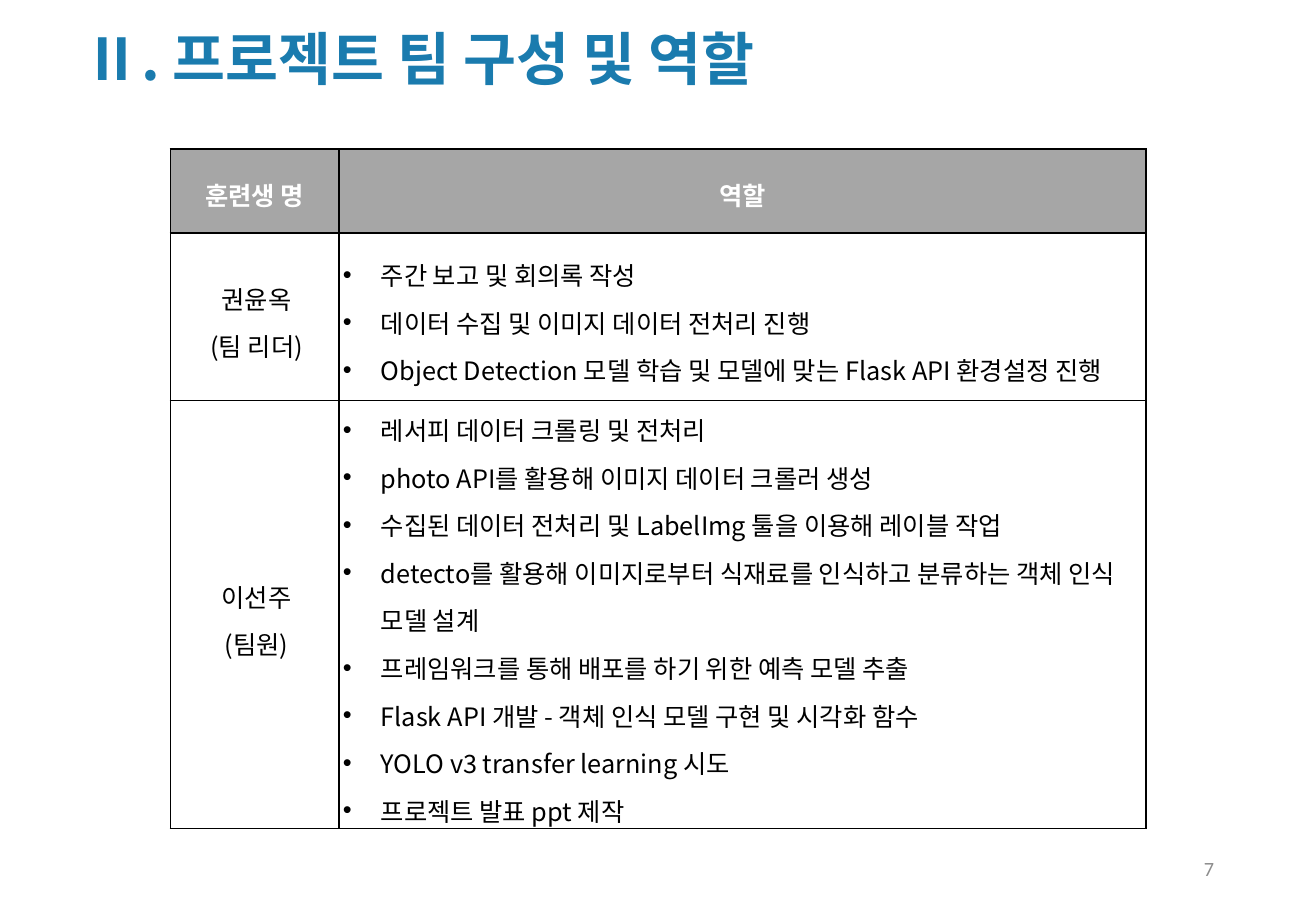
from lxml.etree import SubElement
from pptx import Presentation
from pptx.dml.color import RGBColor
from pptx.enum.text import MSO_ANCHOR, MSO_AUTO_SIZE, PP_ALIGN
from pptx.oxml.ns import qn
from pptx.util import Cm, Pt

BLUE = RGBColor(0x1A, 0x7B, 0xAE)
HEADER_GRAY = RGBColor(0xA6, 0xA6, 0xA6)
NUMBER_GRAY = RGBColor(0x8C, 0x8C, 0x8C)
BLACK = RGBColor(0, 0, 0)
WHITE = RGBColor(0xFF, 0xFF, 0xFF)

KOREAN_FONT = "Noto Sans CJK KR"
BULLET_INDENT = Cm(0.79)
COLUMN_WIDTHS = (Cm(3.53), Cm(16.87))
ROW_HEIGHTS = (Cm(1.75), Cm(3.5), Cm(3.3))

HEADINGS = ("훈련생 명", "역할")
MEMBERS = (
    (("권윤옥", "(팀 리더)"), (
        "주간 보고 및 회의록 작성",
        "데이터 수집 및 이미지 데이터 전처리 진행",
        "Object Detection 모델 학습 및 모델에 맞는 Flask API 환경설정 진행",
    )),
    (("이선주", "(팀원)"), (
        "레서피 데이터 크롤링 및 전처리",
        "photo API를 활용해 이미지 데이터 크롤러 생성",
        "수집된 데이터 전처리 및 LabelImg 툴을 이용해 레이블 작업",
        "detecto를 활용해 이미지로부터 식재료를 인식하고 분류하는 객체 인식 모델 설계",
        "프레임워크를 통해 배포를 하기 위한 예측 모델 추출",
        "Flask API 개발 - 객체 인식 모델 구현 및 시각화 함수",
        "YOLO v3 transfer learning 시도",
        "프로젝트 발표 ppt 제작",
    )),
)


def style_run(run, size, color, bold=False, font=KOREAN_FONT):
    """Style a run, with the Korean font for its East Asian letters."""
    run.font.size = Pt(size)
    run.font.bold = bold
    run.font.color.rgb = color
    run.font.name = font
    SubElement(run.font._element, qn("a:ea"), typeface=KOREAN_FONT)


def add_bullet(paragraph):
    properties = paragraph._p.get_or_add_pPr()
    properties.set("marL", str(BULLET_INDENT))
    properties.set("indent", str(-BULLET_INDENT))
    SubElement(properties, qn("a:buFont"), typeface="Arial")
    SubElement(properties, qn("a:buChar"), char="•")


def add_borders(cell):
    properties = cell._tc.get_or_add_tcPr()
    for side in ("lnL", "lnR", "lnT", "lnB"):
        line = SubElement(properties, qn(f"a:{side}"), w=str(Pt(1)))
        fill = SubElement(line, qn("a:solidFill"))
        SubElement(fill, qn("a:srgbClr"), val=str(BLACK))


def fill_cell(cell, lines, header=False, bulleted=False):
    cell.vertical_anchor = MSO_ANCHOR.MIDDLE
    cell.margin_left = 0 if header else Cm(0.08)
    cell.margin_top = cell.margin_right = cell.margin_bottom = 0
    add_borders(cell)
    if header:
        cell.fill.solid()
        cell.fill.fore_color.rgb = HEADER_GRAY
    else:
        cell.fill.background()

    cell.text_frame.text = "\n".join(lines)
    for paragraph in cell.text_frame.paragraphs:
        paragraph.line_spacing = 1.2 if header else 1.3
        if bulleted:
            add_bullet(paragraph)
        else:
            paragraph.alignment = PP_ALIGN.CENTER
        style_run(paragraph.runs[0], 15, WHITE if header else BLACK, bold=header)


def add_role_table(slide):
    table = slide.shapes.add_table(
        len(ROW_HEIGHTS), len(COLUMN_WIDTHS), Cm(3.56), Cm(3.12),
        sum(COLUMN_WIDTHS), sum(ROW_HEIGHTS)).table
    table.horz_banding = False
    for column, width in zip(table.columns, COLUMN_WIDTHS):
        column.width = width
    for row, height in zip(table.rows, ROW_HEIGHTS):
        row.height = height

    for column, heading in enumerate(HEADINGS):
        fill_cell(table.cell(0, column), [heading], header=True)
    for row, (member, roles) in enumerate(MEMBERS, start=1):
        fill_cell(table.cell(row, 0), member)
        fill_cell(table.cell(row, 1), roles, bulleted=True)


def add_title(slide):
    frame = slide.shapes.add_textbox(Cm(1.5), Cm(0.36), Cm(16.15), Cm(1.7)).text_frame
    frame.word_wrap = True
    frame.auto_size = MSO_AUTO_SIZE.SHAPE_TO_FIT_TEXT
    paragraph = frame.paragraphs[0]
    for text, font in (("Ⅱ. ", KOREAN_FONT), ("프로젝트 팀 구성 및 역할", "Arial Narrow")):
        run = paragraph.add_run()
        run.text = text
        style_run(run, 34.1, BLUE, bold=True, font=font)


def add_page_number(slide):
    frame = slide.shapes.add_textbox(Cm(19.43), Cm(17.65), Cm(6.2), Cm(1.02)).text_frame
    frame.word_wrap = True
    frame.vertical_anchor = MSO_ANCHOR.MIDDLE
    frame.text = "7"
    paragraph = frame.paragraphs[0]
    paragraph.alignment = PP_ALIGN.RIGHT
    style_run(paragraph.runs[0], 12, NUMBER_GRAY, font="Calibri")


def main():
    presentation = Presentation()
    presentation.slide_width = Cm(27.51)
    presentation.slide_height = Cm(19.05)
    slide = presentation.slides.add_slide(presentation.slide_layouts[6])
    add_role_table(slide)
    add_page_number(slide)
    add_title(slide)
    presentation.save("out.pptx")


if __name__ == "__main__":
    main()
